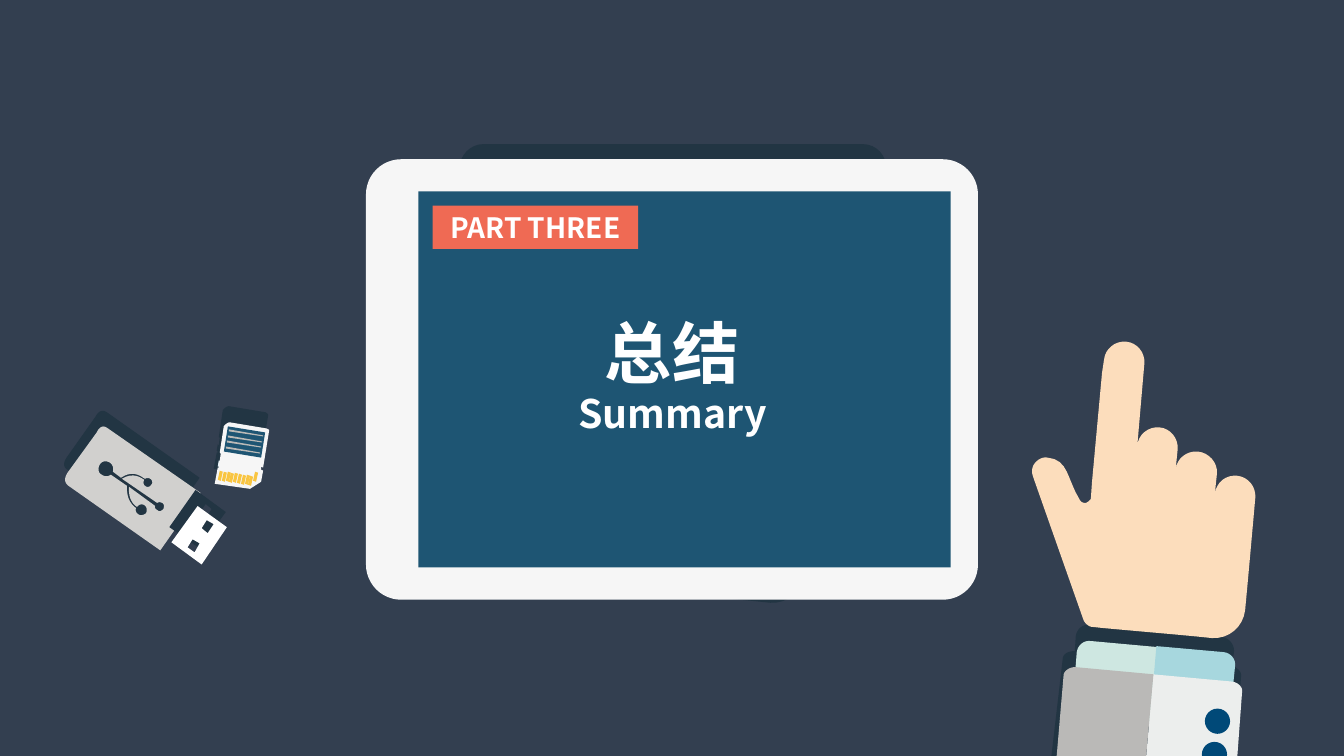
from lxml import etree
from pptx import Presentation
from pptx.dml.color import RGBColor
from pptx.enum.shapes import MSO_SHAPE
from pptx.enum.text import MSO_ANCHOR, MSO_AUTO_SIZE, PP_ALIGN
from pptx.oxml.ns import qn
from pptx.util import Pt

RECT, ROUND, OVAL = MSO_SHAPE.RECTANGLE, MSO_SHAPE.ROUNDED_RECTANGLE, MSO_SHAPE.OVAL
MIDDLE, CENTER, FIT = MSO_ANCHOR.MIDDLE, PP_ALIGN.CENTER, MSO_AUTO_SIZE.SHAPE_TO_FIT_TEXT

SLATE = RGBColor(0x33, 0x3F, 0x50)
SHADE = RGBColor(0x22, 0x35, 0x43)
SILVER = RGBColor(0xD1, 0xD0, 0xCE)
WHITE = RGBColor(0xFF, 0xFF, 0xFF)
PALE = RGBColor(0xF6, 0xF6, 0xF6)
ICE = RGBColor(0xEB, 0xF6, 0xFB)
GOLD = RGBColor(0xF9, 0xC5, 0x41)
TEAL = RGBColor(0x1E, 0x55, 0x73)
STRIPE = RGBColor(0xBB, 0xBA, 0xB7)
MINT = RGBColor(0xCE, 0xE7, 0xE1)
SKY = RGBColor(0xA7, 0xD7, 0xDE)
CLOTH = RGBColor(0xEC, 0xEE, 0xED)
CLOTH_DARK = RGBColor(0xBA, 0xB9, 0xB7)
SKIN = RGBColor(0xFC, 0xDD, 0xBC)
NAVY = RGBColor(0x00, 0x49, 0x78)
CORAL = RGBColor(0xEF, 0x6A, 0x54)


class Canvas:
    PX = 9144  # 100 px to the inch
    FONT = "Noto Sans CJK SC"
    STEPS = 8

    def __init__(self, prs):
        self.s = prs.slides.add_slide(prs.slide_layouts[6])

    def emu(self, *lengths):
        return [v * self.PX for v in lengths]

    def paint(self, sp, color):
        sp.shadow.inherit = False
        sp.fill.solid()
        sp.fill.fore_color.rgb = color
        sp.line.fill.background()
        return sp

    def box(self, kind, color, *frame):
        return self.paint(self.s.shapes.add_shape(kind, *self.emu(*frame)), color)

    def flatten(self, contour):
        """Turn (x, y) corners and six-number Bézier segments into points in EMU."""
        points = [contour[0]]
        for seg in contour[1:]:
            if len(seg) == 2:
                points.append(seg)
                continue
            nodes = [points[-1], seg[:2], seg[2:4], seg[4:]]
            for i in range(1, self.STEPS + 1):
                t = i / self.STEPS
                weights = ((1 - t) ** 3, 3 * t * (1 - t) ** 2, 3 * t * t * (1 - t), t ** 3)
                points.append(tuple(sum(w * n[axis] for w, n in zip(weights, nodes))
                                    for axis in (0, 1)))
        return [self.emu(*point) for point in points]

    def outline(self, color, *contours):
        """Draw one filled shape; contours after the first are holes."""
        first, *holes = [self.flatten(c) for c in contours]
        builder = self.s.shapes.build_freeform(*first[0])
        builder.add_line_segments(first[1:], close=True)
        for hole in holes:
            builder.move_to(*hole[0])
            builder.add_line_segments(hole[1:], close=True)
        return self.paint(builder.convert_to_shape(), color)

    def put_text(self, sp, text, size, **frame_format):
        tf = sp.text_frame
        for name, value in frame_format.items():
            setattr(tf, name, value)
        p = tf.paragraphs[0]
        p.alignment = CENTER
        r = p.add_run()
        r.text = text
        for name, value in {"size": Pt(size), "bold": True, "name": self.FONT}.items():
            setattr(r.font, name, value)
        r.font.color.rgb = WHITE
        etree.SubElement(r.font._element, qn("a:ea"), typeface=self.FONT)

    def label(self, text, size, *frame):
        sp = self.s.shapes.add_textbox(*self.emu(*frame))
        self.put_text(sp, text, size, word_wrap=False, auto_size=FIT)


def draw_usb_stick(c):
    c.outline(SHADE, [(106, 409), (99, 404, 95, 413, 95, 413), (66, 454),
                      (60, 463, 67, 466, 67, 466), (158, 531), (198, 474)])
    c.outline(SHADE, [(111, 435), (181, 485), (152, 526), (82, 476)])
    body = [(96, 429), (67, 469), (61, 478, 68, 482, 68, 482), (159, 546),
            (199, 489), (107, 425), (100, 419, 96, 429, 96, 429)]
    symbol = [(109, 459), (112, 461, 113, 465, 112, 468), (120, 474),
              (130, 467, 138, 471, 142, 474), (143, 474, 143, 475, 144, 475),
              (145, 474, 148, 474, 149, 475), (151, 476, 152, 479, 150, 481),
              (149, 483, 146, 484, 144, 482), (142, 481, 142, 478, 143, 476),
              (140, 474, 132, 468, 121, 475), (156, 499), (157, 498, 159, 498, 161, 499),
              (163, 500, 163, 503, 162, 505), (160, 507, 158, 508, 156, 506),
              (154, 505, 153, 503, 154, 502), (128, 483), (127, 496, 133, 501, 136, 503),
              (138, 500, 141, 500, 143, 501), (146, 503, 146, 506, 145, 509),
              (143, 511, 139, 512, 137, 510), (135, 509, 134, 506, 135, 504),
              (132, 502, 125, 496, 126, 482), (110, 471), (107, 473, 104, 473, 101, 471),
              (97, 469, 97, 464, 99, 461), (101, 457, 106, 457, 109, 459)]
    c.outline(SILVER, body, symbol)
    c.outline(SHADE, [(194, 486), (168, 523), (198, 544), (224, 508)],
              [(197, 524), (191, 532), (184, 528), (190, 520)],
              [(198, 509), (204, 500), (210, 505), (205, 513)])


def draw_usb_plug(c):
    c.outline(WHITE, [(225, 523), (196, 502), (170, 538), (200, 560)],
              [(193, 548), (186, 543), (191, 535), (198, 539)],
              [(206, 529), (200, 524), (205, 516), (212, 520)])


def draw_card_shadow(c):
    c.outline(SHADE, [(218, 434), (217, 442), (216, 441), (215, 447), (216, 448), (216, 449),
                      (215, 449), (212, 465), (247, 470), (258, 463), (260, 451), (258, 451),
                      (258, 448), (260, 448), (266, 412), (266, 410, 263, 409, 263, 409),
                      (227, 403), (224, 403, 221, 407, 221, 407), (217, 434)])


def draw_card(c):
    c.outline(ICE, [(216, 463), (217, 457), (219, 457), (218, 463)])
    c.outline(PALE, [(264, 425), (264, 425, 267, 426, 267, 427), (261, 464), (259, 463),
                     (259, 466), (261, 467), (259, 478), (248, 485), (213, 480), (216, 464),
                     (217, 464), (219, 450), (218, 449), (222, 423),
                     (222, 423, 225, 419, 228, 419)])
    pins = [(216 + round(3.8 * i), 476 + round(0.6 * i)) for i in range(9)] + [(251, 477)]
    for x, y in pins:
        c.outline(GOLD, [(x, y), (x + 2, y - 9), (x + 5, y - 8), (x + 3, y + 1)])
    c.outline(TEAL, [(222, 448), (226, 423), (263, 429), (259, 454)])
    for i in range(4):
        x, y = 224 + i, 443 - round(5.7 * i)
        c.outline(STRIPE, [(x, y), (x + 34, y + 6), (x + 34, y + 7), (x, y + 2)])


def draw_tablet(c):
    c.outline(SHADE, [(856, 143), (479, 143), (467, 143, 456, 154, 456, 166), (456, 424),
                      (456, 437, 467, 447, 479, 447), (590, 447), (637, 581),
                      (639, 584, 642, 586, 646, 587), (663, 588, 726, 594, 764, 598),
                      (781, 599, 796, 587, 797, 570), (802, 516, 807, 459, 807, 459),
                      (808, 454, 807, 450, 805, 447), (856, 447),
                      (869, 447, 879, 437, 879, 424), (879, 166),
                      (879, 154, 869, 143, 856, 143)])
    frame = c.box(ROUND, PALE, 363, 158, 607, 437)
    frame.adjustments[0] = 0.08
    c.box(RECT, TEAL, 415, 190, 528, 373)


def draw_hand(c):
    c.outline(SHADE, [(1067, 631), (1066, 646), (1059, 646, 1054, 649, 1054, 654), (1040, 774),
                      (1069, 777, 1103, 765, 1133, 766), (1170, 766), (1224, 765), (1231, 670),
                      (1231, 666, 1227, 662, 1222, 661), (1224, 646),
                      (1224, 639, 1219, 633, 1212, 632), (1146, 626), (1081, 620),
                      (1074, 619, 1068, 624, 1067, 631)])
    c.outline(MINT, [(1148, 642), (1082, 636), (1075, 635, 1069, 640, 1068, 647), (1064, 697),
                     (1063, 704, 1068, 710, 1075, 711), (1141, 717), (1142, 700)])
    c.outline(SKY, [(1214, 647), (1147, 641), (1142, 699), (1141, 717), (1207, 723),
                    (1214, 723, 1220, 718, 1220, 711), (1225, 661),
                    (1226, 654, 1221, 648, 1214, 647)])
    c.outline(CLOTH, [(1220, 676), (1144, 669), (1134, 781), (1171, 781), (1225, 780),
                      (1232, 685), (1232, 681, 1227, 676, 1220, 676)])
    c.outline(CLOTH_DARK, [(1144, 669), (1068, 662), (1062, 661, 1056, 665, 1055, 669),
                           (1046, 774), (1075, 778, 1104, 780, 1134, 781)])
    c.outline(SKIN, [(1227, 472), (1216, 471, 1207, 478, 1205, 489), (1207, 470),
                     (1208, 459, 1199, 449, 1188, 448), (1177, 447, 1167, 455, 1166, 466),
                     (1168, 446), (1169, 435, 1161, 425, 1150, 424),
                     (1139, 423, 1129, 431, 1128, 442), (1135, 361),
                     (1136, 350, 1128, 340, 1117, 339), (1106, 338, 1096, 346, 1095, 357),
                     (1093, 370), (1083, 479), (1082, 494), (1082, 496, 1079, 498, 1077, 499),
                     (1074, 499, 1072, 498, 1071, 496), (1058, 475, 1060, 456, 1039, 454),
                     (1034, 453, 1029, 456, 1026, 460), (1023, 464, 1023, 469, 1025, 474),
                     (1075, 616), (1077, 619, 1080, 622, 1084, 622),
                     (1101, 624, 1164, 629, 1202, 633), (1219, 634, 1233, 622, 1235, 605),
                     (1240, 551, 1245, 494, 1245, 494), (1246, 483, 1238, 473, 1227, 472)])
    for x, y in ((1195, 703), (1192, 736)):
        c.box(OVAL, NAVY, x, y, 25, 25)


def main():
    prs = Presentation()
    prs.slide_width, prs.slide_height = 1333 * Canvas.PX, 750 * Canvas.PX
    c = Canvas(prs)
    c.s.background.fill.solid()
    c.s.background.fill.fore_color.rgb = SLATE
    for draw in (draw_usb_stick, draw_card_shadow, draw_usb_plug, draw_card,
                 draw_tablet, draw_hand):
        draw(c)
    c.label("总结", 48, 589, 304, 155, 91)
    c.label("Summary", 28, 562, 381, 210, 57)
    tag = c.box(RECT, CORAL, 429, 204, 204, 43)
    c.put_text(tag, "PART THREE", 20, vertical_anchor=MIDDLE)
    prs.save("out.pptx")


if __name__ == "__main__":
    main()
